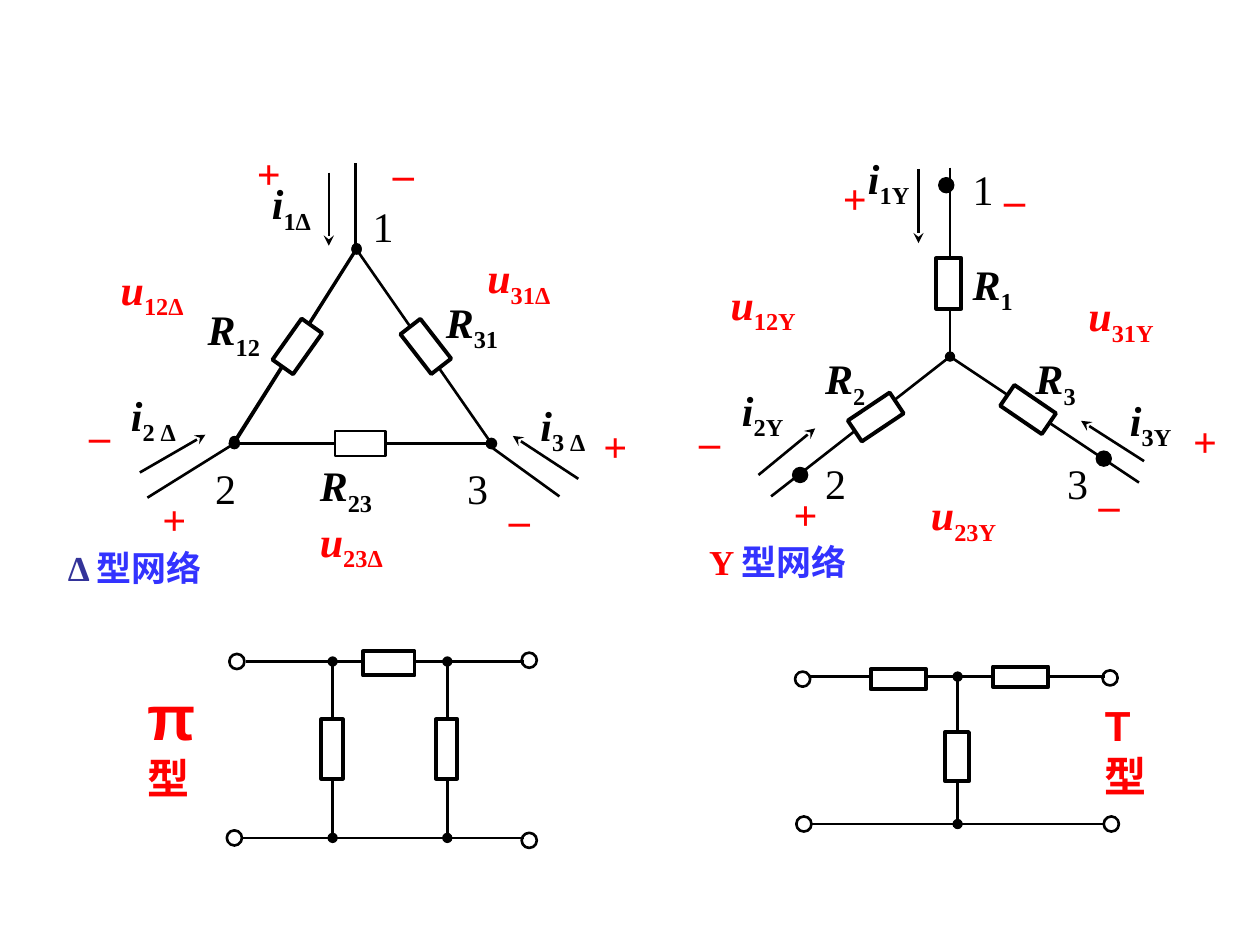
from dataclasses import dataclass
from typing import Optional

from lxml.etree import SubElement
from pptx import Presentation
from pptx.dml.color import RGBColor
from pptx.enum.shapes import MSO_CONNECTOR as Connector, MSO_SHAPE as Shape
from pptx.enum.text import MSO_ANCHOR as Anchor
from pptx.oxml.ns import qn
from pptx.util import Inches, Pt

COLORS = {"ink": "000000", "paper": "FFFFFF", "red": "FF0000",
          "navy": "333399", "blue": "3333FF"}
SERIF, SANS = "Times New Roman", "Arial"


@dataclass
class Wire:
    x1: float
    y1: float
    x2: float
    y2: float
    head: Optional[str] = None
    tail: Optional[str] = None
    weight: float = 1.5


@dataclass
class Resistor:
    left: float
    top: float
    width: float = 0.2
    height: float = 0.4
    angle: float = 0
    weight: float = 2.25


@dataclass
class Style:
    color: str
    height: float
    bold: bool = True
    italic: bool = False


@dataclass
class Label:
    left: float
    top: float
    width: float
    symbol: str
    subscript: str = ""


@dataclass
class Phrase:
    text: str
    color: str
    size: float


@dataclass
class Caption:
    left: float
    top: float
    width: float
    height: float
    font: str
    phrases: list[Phrase]
    anchor: Anchor = Anchor.TOP


QUANTITY = Style("ink", 0.51, italic=True)
VOLTAGE = Style("red", 0.4, italic=True)
SIGN = Style("red", 0.4)
TERMINAL = Style("ink", 0.51, bold=False)

WIRES = [
    Wire(1.86, 3.52, 3.9, 3.52, "oval", "oval", 2.25),
    Wire(3.9, 3.52, 2.83, 1.98, "oval", "oval"),
    Wire(2.83, 1.97, 1.86, 3.5, "oval", "oval"),
    Wire(2.83, 1.98, 1.86, 3.52, "oval", "oval"),
    Wire(2.82, 1.98, 2.82, 1.29),
    Wire(1.86, 3.52, 1.17, 3.95),
    Wire(3.86, 3.52, 4.44, 3.94),
    Wire(7.54, 1.33, 7.54, 2.83, tail="oval"),
    Wire(7.54, 2.83, 6.12, 3.94),
    Wire(7.54, 2.83, 9.04, 3.83),
    Wire(6.43, 5.37, 8.77, 5.37),
    Wire(6.43, 6.54, 8.77, 6.54),
    Wire(7.6, 5.37, 7.6, 6.54, "oval", "oval"),
    Wire(1.95, 5.25, 4.16, 5.25),
    Wire(1.93, 6.65, 4.16, 6.65),
] + [Wire(x, 5.25, x, 6.65, "oval", "oval") for x in (2.64, 3.55)]

CURRENTS = [Wire(*ends, tail="stealth") for ends in (
    (2.61, 1.37, 2.61, 1.95), (1.11, 3.75, 1.63, 3.45), (4.59, 3.8, 4.07, 3.46),
    (7.29, 1.34, 7.29, 1.93), (6.02, 3.77, 6.47, 3.4), (9.08, 3.66, 8.58, 3.34))]

RESISTORS = [
    Resistor(2.76, 3.32, angle=270, weight=1.5),
    Resistor(3.28, 2.55, angle=322.2),
    Resistor(2.26, 2.55, angle=35.3),
    Resistor(6.85, 3.11, angle=56.2),
    Resistor(8.06, 3.05, angle=304.3),
    Resistor(7.43, 2.05),
    Resistor(7.5, 5.81, 0.19, 0.39),
    Resistor(8.02, 5.15, 0.16, 0.44, 270),
    Resistor(7.05, 5.17, 0.16, 0.44, 270),
    Resistor(2.99, 5.06, 0.19, 0.41, 270),
    Resistor(2.55, 5.71, 0.17, 0.47),
    Resistor(3.46, 5.71, 0.17, 0.47),
]

NODES = [(6.29, 3.71), (7.45, 1.41), (8.7, 3.58)]
PORTS = [(6.31, 5.33), (8.75, 5.32), (8.76, 6.48), (6.32, 6.48),
         (4.14, 6.61), (4.14, 5.18), (1.8, 6.59), (1.82, 5.19)]

LABELS = [
    (QUANTITY, [
        Label(1.55, 2.36, 0.92, "R", "12"), Label(3.44, 2.3, 0.8, "R", "31"),
        Label(2.44, 3.6, 0.87, "R", "23"), Label(4.19, 3.12, 0.72, "i", "3 Δ"),
        Label(0.94, 3.04, 0.75, "i", "2 Δ"), Label(2.06, 1.36, 0.83, "i", "1Δ"),
        Label(7.62, 2, 0.58, "R", "1"), Label(6.45, 2.75, 0.58, "R", "2"),
        Label(8.12, 2.75, 0.56, "R", "3"), Label(6.79, 1.16, 0.75, "i", "1Y"),
        Label(5.79, 3, 0.75, "i", "2Y"), Label(8.87, 3.08, 0.67, "i", "3Y")]),
    (VOLTAGE, [Label(x, y, 0.83, "u", pair) for x, y, pair in (
        (0.86, 2.04, "12Δ"), (2.44, 4.04, "23Δ"), (3.77, 1.95, "31Δ"),
        (5.7, 2.16, "12Y"), (7.29, 3.83, "23Y"), (8.54, 2.25, "31Y"))]),
    (TERMINAL, [Label(x, y, 0.42, digit) for x, y, digit in (
        (2.86, 1.54, "1"), (1.61, 3.62, "2"), (3.61, 3.62, "3"),
        (7.62, 1.25, "1"), (6.45, 3.58, "2"), (8.37, 3.58, "3"))]),
    (SIGN, [Label(x, y, 0.42, sign) for sign, places in (
        ("+", ((1.94, 1.12), (1.19, 3.87), (4.69, 3.29),
               (6.59, 1.32), (6.2, 3.83), (9.37, 3.25))),
        ("–", ((3.02, 1.12), (0.61, 3.2), (3.94, 3.87),
               (5.45, 3.25), (8.62, 3.75), (7.87, 1.33)))) for x, y in places]),
]

CAPTIONS = [
    Caption(0.44, 4.29, 1.67, 0.44, SERIF,
            [Phrase("Δ ", "navy", 20), Phrase("型网络", "blue", 20)]),
    Caption(5.53, 4.24, 1.64, 0.44, SERIF,
            [Phrase("Y ", "red", 20), Phrase("型网络", "blue", 20)]),
    Caption(8.67, 5.7, 0.8, 0.51, SANS, [Phrase("T 型", "red", 24)], Anchor.MIDDLE),
    Caption(1.07, 5.52, 0.96, 0.71, SANS,
            [Phrase("π ", "red", 36), Phrase("型", "red", 24)], Anchor.MIDDLE),
]


def rgb(name: str) -> RGBColor:
    return RGBColor.from_string(COLORS[name])


def draw_wire(page, wire: Wire) -> None:
    line = page.shapes.add_connector(
        Connector.STRAIGHT, *map(Inches, (wire.x1, wire.y1, wire.x2, wire.y2)))
    line.line.color.rgb = rgb("ink")
    line.line.width = Pt(wire.weight)
    outline = line.line._get_or_add_ln()
    for tag, kind in (("a:headEnd", wire.head), ("a:tailEnd", wire.tail)):
        if kind:
            SubElement(outline, qn(tag), type=kind)
    SubElement(line._element.spPr, qn("a:effectLst"))


def draw_shape(page, kind: Shape, left: float, top: float, width: float, height: float,
               weight: float, fill: Optional[str] = None, angle: float = 0) -> None:
    shape = page.shapes.add_shape(kind, *map(Inches, (left, top, width, height)))
    shape.shadow.inherit = False
    shape.rotation = angle
    shape.line.color.rgb = rgb("ink")
    shape.line.width = Pt(weight)
    if fill:
        shape.fill.solid()
        shape.fill.fore_color.rgb = rgb(fill)
    else:
        shape.fill.background()


def add_text(page, left: float, top: float, width: float, height: float):
    box = page.shapes.add_textbox(*map(Inches, (left, top, width, height)))
    box.text_frame.word_wrap = True
    return box.text_frame


def draw_label(page, label: Label, style: Style) -> None:
    para = add_text(page, label.left, label.top, label.width, style.height).paragraphs[0]
    para.font.name, para.font.size = SERIF, Pt(24)
    para.font.bold = style.bold
    para.font.color.rgb = rgb(style.color)
    span = para.add_run()
    span.text = label.symbol
    span.font.italic = style.italic
    if label.subscript:
        span = para.add_run()
        span.text = label.subscript
        span.font._element.set("baseline", "-25000")


def draw_caption(page, caption: Caption) -> None:
    frame = add_text(page, caption.left, caption.top, caption.width, caption.height)
    frame.vertical_anchor = caption.anchor
    para = frame.paragraphs[0]
    para.font.name, para.font.bold = caption.font, True
    for phrase in caption.phrases:
        span = para.add_run()
        span.text = phrase.text
        span.font.size = Pt(phrase.size)
        span.font.color.rgb = rgb(phrase.color)


def main() -> None:
    deck = Presentation()
    deck.slide_width, deck.slide_height = Inches(10), Inches(7.5)
    page = deck.slides.add_slide(deck.slide_layouts[6])
    for wire in WIRES + CURRENTS:
        draw_wire(page, wire)
    for item in RESISTORS:
        draw_shape(page, Shape.RECTANGLE, item.left, item.top, item.width, item.height,
                   item.weight, "paper", item.angle)
    for left, top in NODES:
        draw_shape(page, Shape.OVAL, left, top, 0.12, 0.12, 0.75, "ink")
    for left, top in PORTS:
        draw_shape(page, Shape.OVAL, left, top, 0.12, 0.12, 1.5)
    for style, labels in LABELS:
        for label in labels:
            draw_label(page, label, style)
    for caption in CAPTIONS:
        draw_caption(page, caption)
    deck.save("out.pptx")


if __name__ == "__main__":
    main()
